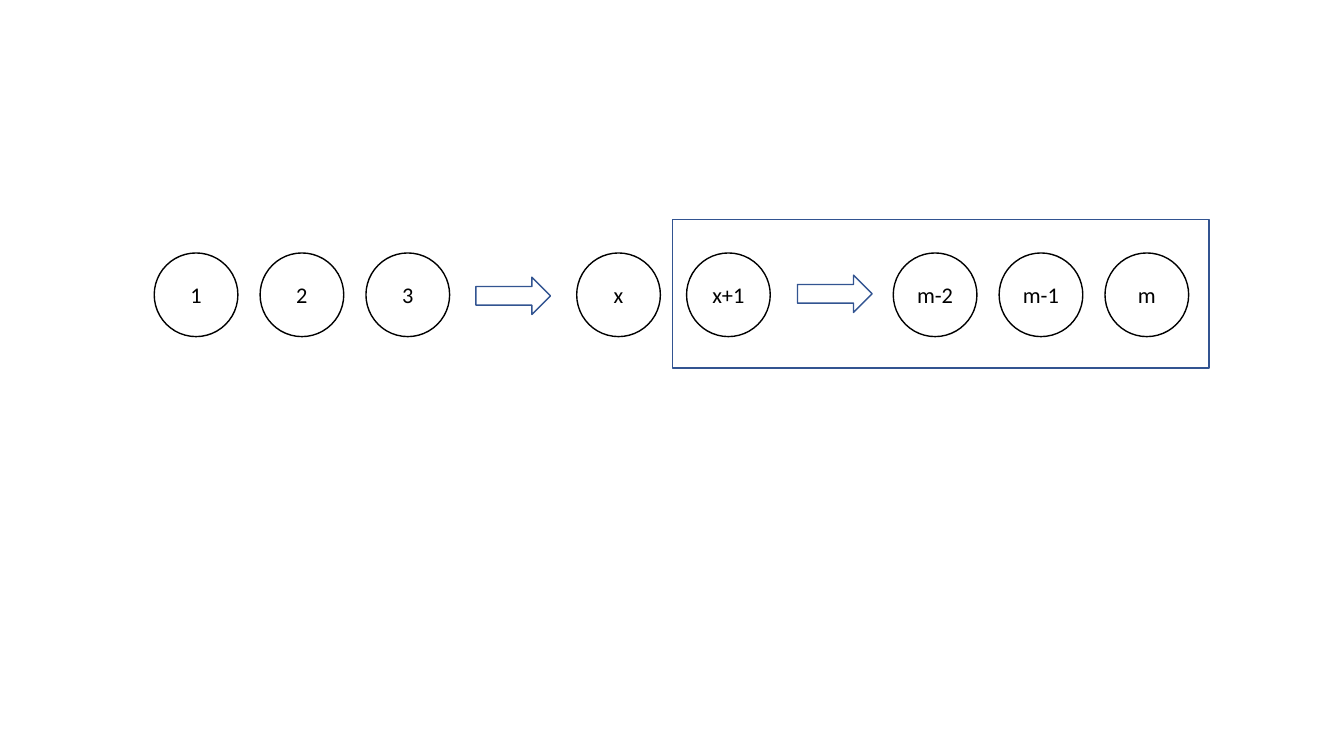
"""Builds a slide of numbered nodes with the tail of the sequence framed."""
import pptx
import pptx.dml.color
import pptx.enum.shapes
import pptx.enum.text
import pptx.util

Inches = pptx.util.Inches
Shapes = pptx.enum.shapes.MSO_SHAPE
COLORS = {"ink": "000000", "accent": "325491"}


class SequencePage:
    """Holds the style and the current slide."""

    font_format = {"name": "Calibri", "size": pptx.util.Pt(16)}
    frame_format = {
        "word_wrap": False,
        "vertical_anchor": pptx.enum.text.MSO_ANCHOR.MIDDLE,
        "margin_left": 0,
        "margin_right": 0,
    }
    node_size = 0.83
    node_top = 2.51

    def __init__(self, deck):
        """Add a blank slide to the deck."""
        self.page = deck.slides.add_slide(deck.slide_layouts[6])

    def color(self, name):
        """Return the named colour."""
        return pptx.dml.color.RGBColor.from_string(COLORS[name])

    def outline(self, kind, left, top, width, height, color):
        """Draw an unfilled shape with a thin line."""
        lengths = [Inches(value) for value in (left, top, width, height)]
        shape = self.page.shapes.add_shape(kind, *lengths)
        shape.shadow.inherit = False
        shape.fill.background()
        shape.line.color.rgb = self.color(color)
        shape.line.width = pptx.util.Pt(1)
        return shape

    def node(self, label, left):
        """Draw a labelled circle on the common row."""
        size = self.node_size
        circle = self.outline(Shapes.OVAL, left, self.node_top, size, size, "ink")
        frame = circle.text_frame
        for key, value in self.frame_format.items():
            setattr(frame, key, value)
        para = frame.paragraphs[0]
        para.alignment = pptx.enum.text.PP_ALIGN.CENTER
        span = para.add_run()
        span.text = label
        for key, value in self.font_format.items():
            setattr(span.font, key, value)
        span.font.color.rgb = self.color("ink")

    def node_row(self, labels, left, step=1.05):
        """Draw evenly spaced nodes."""
        for index, label in enumerate(labels):
            self.node(label, left + index * step)

    def arrow(self, left, top):
        """Draw a block arrow."""
        self.outline(Shapes.RIGHT_ARROW, left, top, 0.74, 0.37, "accent")

    def tail_frame(self, left, top, width, height):
        """Draw the rectangle around the last nodes."""
        self.outline(Shapes.RECTANGLE, left, top, width, height, "accent")


deck = pptx.Presentation()
deck.slide_width = Inches(13.33)
deck.slide_height = Inches(7.5)

sequence = SequencePage(deck)
sequence.node_row(["1", "2", "3"], 1.53)
sequence.node("x", 5.72)
sequence.node_row(["m-2", "m-1", "m"], 8.86)
sequence.node("x+1", 6.81)
sequence.tail_frame(6.67, 2.18, 5.32, 1.47)
sequence.arrow(4.72, 2.75)
sequence.arrow(7.91, 2.73)

deck.save("out.pptx")
